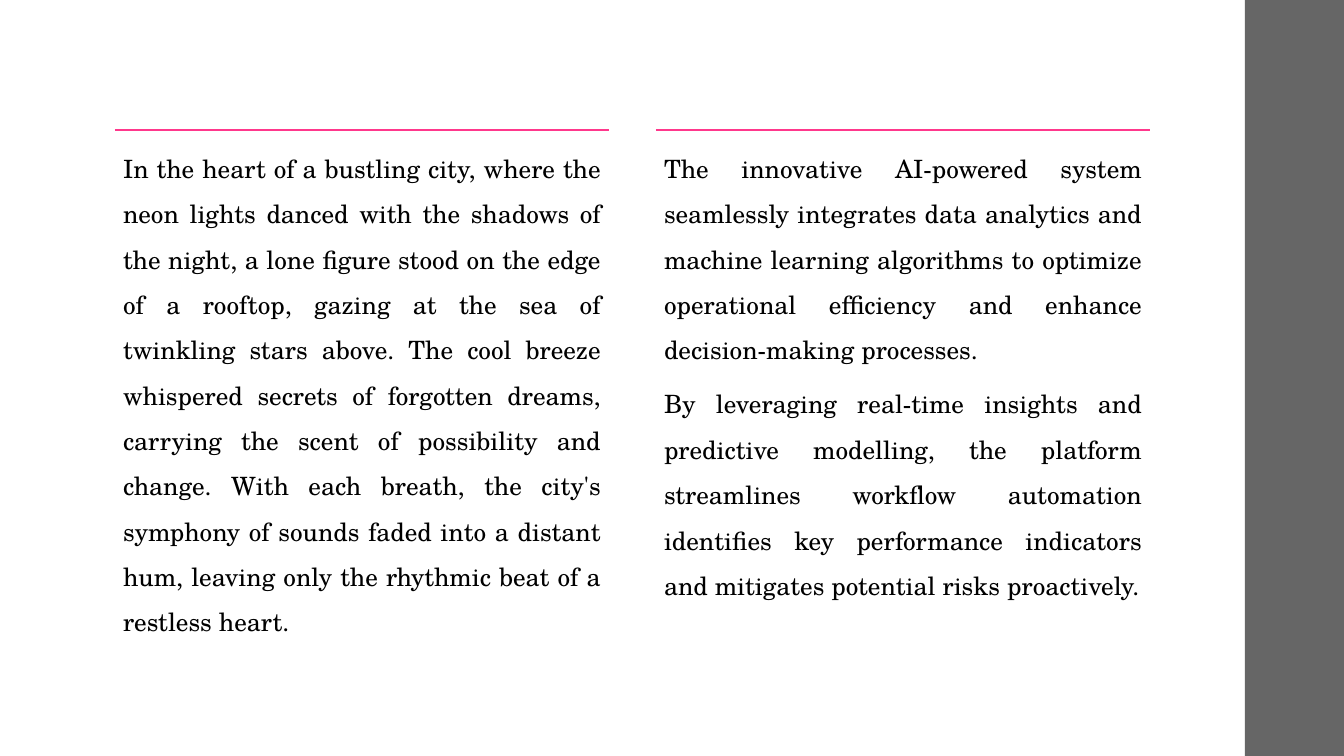
"""Build a slide with two justified text columns under pink rules and a grey side bar."""
from dataclasses import dataclass

from lxml.etree import SubElement
from pptx import Presentation
from pptx.dml.color import RGBColor
from pptx.enum.shapes import MSO_CONNECTOR, MSO_SHAPE
from pptx.enum.text import MSO_ANCHOR, MSO_AUTO_SIZE, PP_ALIGN
from pptx.oxml.ns import qn
from pptx.util import Pt

SCALE = 914400 / 100.8
WIDE, HIGH = 1344, 756
LEFT = [
    "In the heart of a bustling city, where the neon lights danced with the shadows of "
    "the night, a lone figure stood on the edge of a rooftop, gazing at the sea of "
    "twinkling stars above. The cool breeze whispered secrets of forgotten dreams, "
    "carrying the scent of possibility and change. With each breath, the city's symphony "
    "of sounds faded into a distant hum, leaving only the rhythmic beat of a restless heart.",
]
RIGHT = [
    "The innovative AI-powered system seamlessly integrates data analytics and machine "
    "learning algorithms to optimize operational efficiency and enhance decision-making "
    "processes.",
    "By leveraging real-time insights and predictive modelling, the platform streamlines "
    "workflow automation identifies key performance indicators and mitigates potential "
    "risks proactively.",
]


@dataclass(frozen=True)
class Theme:
    ink: RGBColor = RGBColor(0, 0, 0)
    rule: RGBColor = RGBColor(0xFF, 0x38, 0x8C)
    bar: RGBColor = RGBColor(0x66, 0x66, 0x66)
    face: str = "TeX Gyre Schola"
    size: Pt = Pt(18)
    line: Pt = Pt(1.1)


THEME = Theme()


def px(count):
    return round(count * SCALE)


def style(target, values):
    for name, value in values.items():
        setattr(target, name, value)


def draw_bar(slide, box):
    bar = slide.shapes.add_shape(MSO_SHAPE.RECTANGLE, *map(px, box))
    bar.shadow.inherit = False
    bar.fill.solid()
    bar.fill.fore_color.rgb = THEME.bar
    bar.line.fill.background()


def draw_rule(slide, left, top, width):
    rule = slide.shapes.add_connector(
        MSO_CONNECTOR.STRAIGHT, px(left), px(top), px(left + width), px(top))
    rule.line.color.rgb = THEME.rule
    rule.line.width = THEME.line
    SubElement(rule._element.spPr, qn("a:effectLst"))


def draw_column(slide, body, box, texts):
    left, top, width, height = box
    draw_rule(slide, left, top, width)
    style(body, dict(left=px(left), top=px(top), width=px(width), height=px(height)))
    frame = body.text_frame
    pad = px(8)
    style(frame, dict(word_wrap=True, auto_size=MSO_AUTO_SIZE.NONE,
                      vertical_anchor=MSO_ANCHOR.TOP, margin_left=pad,
                      margin_top=pad, margin_right=pad, margin_bottom=pad))
    frame.text = "\n".join(texts)
    for para in frame.paragraphs:
        props = para._p.get_or_add_pPr()
        props.set("marL", "0")
        props.set("indent", "0")
        SubElement(props, qn("a:buNone"))
        style(para, dict(alignment=PP_ALIGN.JUSTIFY, line_spacing=1.5,
                         space_before=Pt(0), space_after=Pt(6.3)))
        for run in para.runs:
            style(run.font, dict(name=THEME.face, size=THEME.size))
            run.font.color.rgb = THEME.ink


def main():
    deck = Presentation()
    style(deck, dict(slide_width=px(WIDE), slide_height=px(HIGH)))
    slide = deck.slides.add_slide(deck.slide_layouts[3])
    title, *bodies = slide.placeholders
    title._element.getparent().remove(title._element)
    draw_bar(slide, (1245, 0, WIDE - 1245, HIGH))
    for place, (body, texts) in enumerate(zip(bodies, (LEFT, RIGHT))):
        draw_column(slide, body, (115 + place * 541, 130, 494, 403), texts)
    deck.save("out.pptx")


if __name__ == "__main__":
    main()
